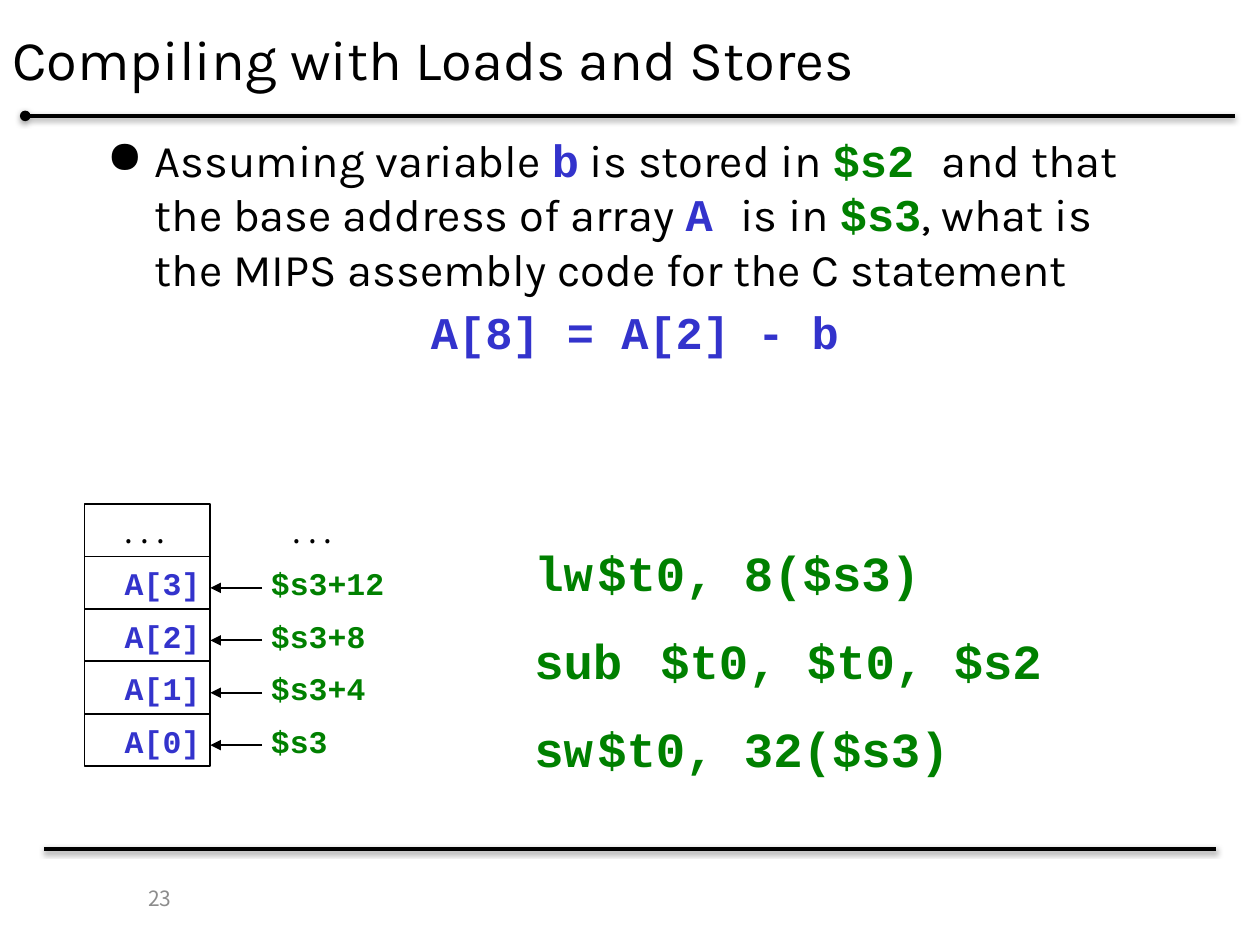
from lxml.etree import SubElement
from pptx import Presentation
from pptx.dml.color import RGBColor
from pptx.enum.shapes import MSO_CONNECTOR, MSO_SHAPE
from pptx.enum.text import MSO_ANCHOR, MSO_AUTO_SIZE, PP_ALIGN
from pptx.oxml.ns import qn
from pptx.util import Inches, Pt

TITLE = "Compiling with Loads and Stores"
PAGE_NUMBER = "23"
QUESTION = [
    ("Assuming variable ", "body"),
    ("b", "variable"),
    (" is stored in ", "body"),
    ("$s2 ", "register"),
    ("and that the base address of array ", "body"),
    ("A ", "variable"),
    ("is in ", "body"),
    ("$s3", "register"),
    (", what is the MIPS assembly code for the C statement", "body"),
]
STATEMENT = [("A[8] = A[2] - b", "variable")]
MEMORY = [
    (". . .", ". . ."),
    ("A[3]", "$s3+12"),
    ("A[2]", "$s3+8"),
    ("A[1]", "$s3+4"),
    ("A[0]", "$s3"),
]
ASSEMBLY = ["lw\t$t0, 8($s3)", "sub\t$t0, $t0, $s2", "sw\t$t0, 32($s3)"]

BLACK, BLUE, GREEN, GRAY = "000000", "3333CC", "008000", "8C8C8C"
SANS, MONO, PLAIN = "Karla", "Courier New", "Noto Sans CJK KR"
THEME = {
    "title": dict(name=SANS, size=Pt(32), bold=False, color=BLACK),
    "body": dict(name=SANS, size=Pt(25.9), bold=False, color=BLACK),
    "variable": dict(name=MONO, size=Pt(25.9), bold=True, color=BLUE),
    "register": dict(name=MONO, size=Pt(25.9), bold=True, color=GREEN),
    "element": dict(name=MONO, size=Pt(18), bold=True, color=BLUE),
    "address": dict(name=MONO, size=Pt(18), bold=True, color=GREEN),
    "ellipsis": dict(name=PLAIN, size=Pt(18), bold=False, color=BLACK),
    "code": dict(name=MONO, size=Pt(28), bold=True, color=GREEN),
    "page": dict(name=PLAIN, size=Pt(12), bold=False, color=GRAY),
}
TIGHT = dict(margin_left=Inches(0.07), margin_right=Inches(0.07),
             margin_top=Inches(0.03), margin_bottom=Inches(0.03),
             auto_size=MSO_AUTO_SIZE.SHAPE_TO_FIT_TEXT)


def apply(target, values):
    for key, value in values.items():
        setattr(target, key, value)


def add_text(shapes, box, paragraphs, frame_format=None, paragraph_format=None):
    frame = shapes.add_textbox(*map(Inches, box)).text_frame
    apply(frame, {"word_wrap": True, **(frame_format or {})})
    for index, runs in enumerate(paragraphs):
        paragraph = frame.paragraphs[0] if index == 0 else frame.add_paragraph()
        apply(paragraph, paragraph_format or {})
        if index == 0:
            paragraph.space_before = Pt(0)
        for text, style in runs:
            run = paragraph.add_run()
            run.text = text
            font_format = dict(THEME[style])
            run.font.color.rgb = RGBColor.from_string(font_format.pop("color"))
            apply(run.font, font_format)
    return frame


def add_line(shapes, start, end, width=1, head=None, tail=None, shadow=False):
    line = shapes.add_connector(MSO_CONNECTOR.STRAIGHT, *map(Inches, start + end))
    line.line.color.rgb = RGBColor.from_string(BLACK)
    line.line.width = Pt(width)
    properties = line._element.spPr
    for tag, kind in (("a:headEnd", head), ("a:tailEnd", tail)):
        if kind:
            SubElement(properties.find(qn("a:ln")), qn(tag), type=kind)
    effects = SubElement(properties, qn("a:effectLst"))
    if shadow:
        outer = SubElement(effects, qn("a:outerShdw"), blurRad=str(Pt(3.1)),
                           dist=str(Pt(1)), dir="5400000", rotWithShape="0")
        color = SubElement(outer, qn("a:srgbClr"), val=BLACK)
        SubElement(color, qn("a:alpha"), val="38000")


def add_question(shapes):
    frame = add_text(shapes, (0.75, 1, 8.58, 1.75), [QUESTION, STATEMENT],
                     paragraph_format=dict(space_before=Pt(5)))
    for paragraph in frame.paragraphs:
        properties = paragraph._p.get_or_add_pPr()
        properties.set("marL", str(Inches(0.38)))
        properties.set("indent", str(-Inches(0.38)))
    question, statement = frame.paragraphs
    SubElement(question._p.pPr, qn("a:buChar"), char="●")
    statement.alignment = PP_ALIGN.CENTER


def add_memory(shapes):
    left, top, width, height = 0.67, 4, 1, 2.08
    right, arrow_start = left + width, 2.08
    pitch = height / len(MEMORY)
    outline = shapes.add_shape(MSO_SHAPE.RECTANGLE, *map(Inches, (left, top, width, height)))
    outline.shadow.inherit = False
    outline.fill.background()
    outline.line.color.rgb = RGBColor.from_string(BLACK)
    outline.line.width = Pt(1)
    for row, (element, address) in enumerate(MEMORY):
        row_top = top + row * pitch
        gap_row = element == ". . ."
        columns = [(element, "element", 0.92),
                   (address, "address", 2.25 if gap_row else arrow_start)]
        for text, style, column_left in columns:
            label_width = 0.49 if gap_row else 0.15 * len(text) + 0.14
            add_text(shapes, (column_left, row_top + 0.08, label_width, 0.31),
                     [[(text, "ellipsis" if gap_row else style)]],
                     {**TIGHT, "word_wrap": False}, dict(line_spacing=0.85))
        if not gap_row:
            add_line(shapes, (left, row_top), (right, row_top))
            add_line(shapes, (arrow_start, row_top + 0.25), (right, row_top + 0.25),
                     tail="triangle")


def main():
    deck = Presentation()
    apply(deck, dict(slide_width=Inches(10), slide_height=Inches(7.5)))
    shapes = deck.slides.add_slide(deck.slide_layouts[6]).shapes
    middle = dict(vertical_anchor=MSO_ANCHOR.MIDDLE)

    add_line(shapes, (0.2, 0.92), (9.8, 0.92), width=2, head="oval", shadow=True)
    add_line(shapes, (9.65, 6.74), (0.35, 6.74), width=2, shadow=True)
    add_text(shapes, (0, 0, 10, 0.92), [[(TITLE, "title")]], middle)
    add_question(shapes)
    add_memory(shapes.add_group_shape().shapes)
    add_text(shapes, (4.17, 4.33, 4.25, 1.95), [[(line, "code")] for line in ASSEMBLY],
             TIGHT, dict(line_spacing=0.9, space_before=Pt(20)))
    add_text(shapes, (0.98, 6.93, 0.48, 0.4), [[(PAGE_NUMBER, "page")]],
             middle, dict(alignment=PP_ALIGN.RIGHT))
    deck.save("out.pptx")


if __name__ == "__main__":
    main()
